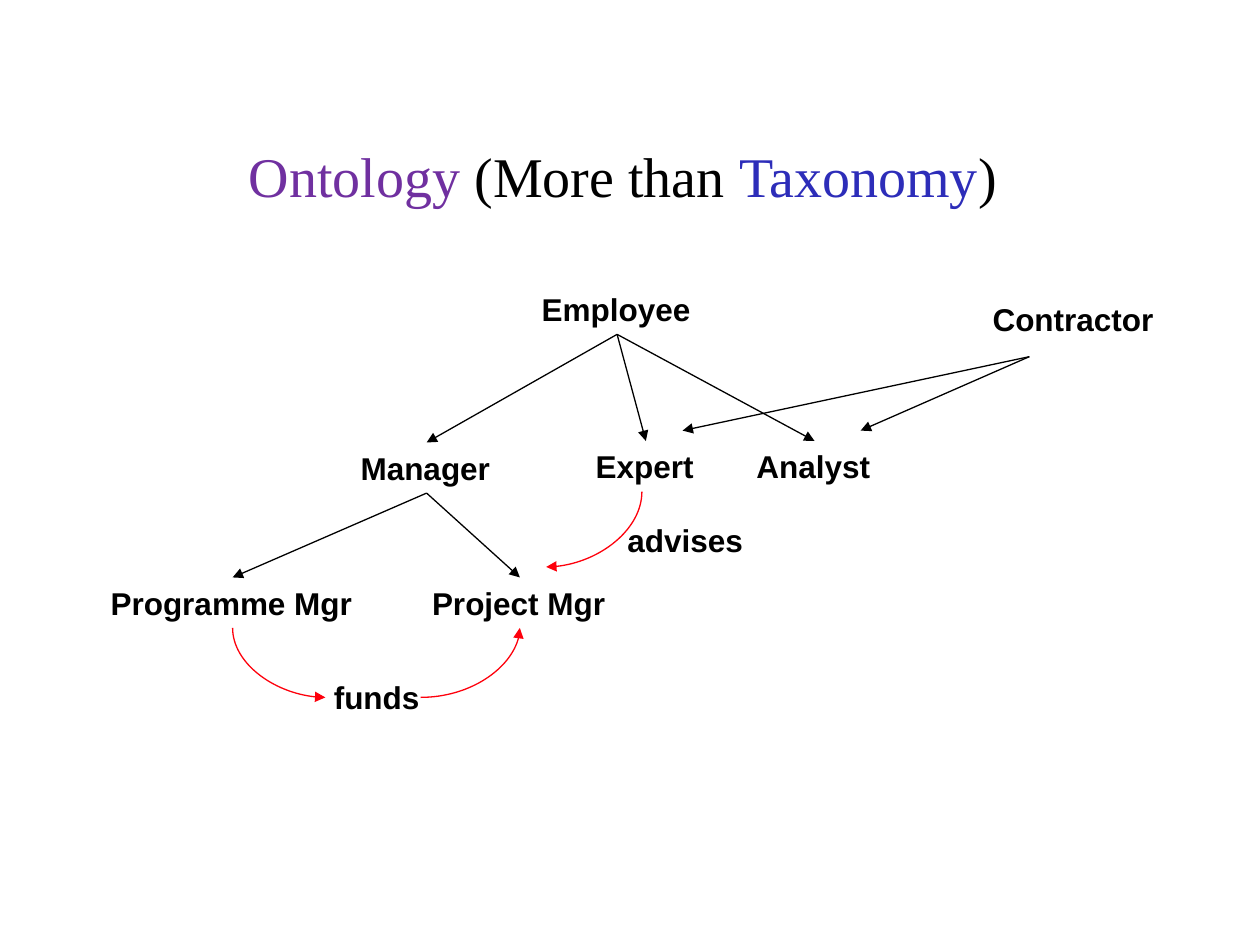
from lxml import etree
from pptx import Presentation
from pptx.dml.color import RGBColor
from pptx.enum.shapes import MSO_CONNECTOR
from pptx.enum.text import MSO_ANCHOR, MSO_AUTO_SIZE, PP_ALIGN
from pptx.oxml.ns import qn
from pptx.util import Cm, Pt

STRAIGHT, CURVE = MSO_CONNECTOR.STRAIGHT, MSO_CONNECTOR.CURVE
MIDDLE, CENTER = MSO_ANCHOR.MIDDLE, PP_ALIGN.CENTER
FIT_SHAPE = MSO_AUTO_SIZE.SHAPE_TO_FIT_TEXT
BLACK = RGBColor(0x00, 0x00, 0x00)
PURPLE = RGBColor(0x70, 0x30, 0xA0)
BLUE = RGBColor(0x2D, 0x2D, 0xB9)
RED = RGBColor(0xFE, 0x00, 0x0C)

TITLE = [("Ontology", PURPLE), (" (More than ", BLACK),
         ("Taxonomy", BLUE), (") ", BLACK)]
LABEL_H = 1.02
LABELS = {
    "Employee": (10.67, 5.72, 3.54),
    "Contractor": (19.76, 5.92, 3.8),
    "Manager": (7.02, 8.92, 3.16),
    "Expert": (11.76, 8.89, 2.52),
    "Analyst": (15.0, 8.89, 2.84),
    "Programme Mgr": (1.98, 11.64, 5.42),
    "Project Mgr": (8.46, 11.64, 4.04),
    "funds": (6.48, 13.54, 2.28),
    "advises": (12.4, 10.37, 2.88),
}
SUBCLASSES = {
    "Employee": ["Manager", "Expert", "Analyst"],
    "Manager": ["Programme Mgr", "Project Mgr"],
}
CONTRACTOR_START = (20.75, 7.19)
CONTRACTOR_ENDS = [(17.35, 8.68), (13.76, 8.68)]
FUNDS_IN, FUNDS_OUT = (6.56, 14.06), (8.48, 14.06)
ADVISES_START, ADVISES_END = (12.94, 9.91), (11.01, 11.43)


def top(name):
    x, y, w = LABELS[name]
    return x + w / 2, y


def bottom(name):
    x, y = top(name)
    return x, y + LABEL_H


def add_text(x, y, w, h, runs, font, size, bold=False):
    s = slide.shapes.add_textbox(Cm(x), Cm(y), Cm(w), Cm(h))
    tf = s.text_frame
    p = tf.paragraphs[0]
    p.font.name, p.font.size, p.font.bold = font, Pt(size), bold
    for text, color in runs:
        r = p.add_run()
        r.text = text
        r.font.color.rgb = color
    return tf


def add_arrow(start, end, color=BLACK, kind=STRAIGHT):
    s = slide.shapes.add_connector(kind, *map(Cm, start + end))
    s.line.color.rgb = color
    s.line.width = Pt(0.75)
    spPr = s._element.spPr
    etree.SubElement(spPr.find(qn("a:ln")), qn("a:tailEnd"), type="triangle")
    etree.SubElement(spPr, qn("a:effectLst"))
    return s


def add_curve(start, end, vertical_first=False):
    (x1, y1), (x2, y2) = start, end
    if vertical_first:
        cx, cy = (x1 + x2) / 2, (y1 + y2) / 2
        half_w, half_h = abs(y2 - y1) / 2, abs(x2 - x1) / 2
        start, end = (cx - half_w, cy - half_h), (cx + half_w, cy + half_h)
    s = add_arrow(start, end, RED, CURVE)
    spPr = s._element.spPr
    spPr.find(qn("a:prstGeom")).set("prst", "curvedConnector2")
    if vertical_first:
        xfrm = spPr.find(qn("a:xfrm"))
        rightward = x2 > x1
        xfrm.set("rot", str((270 if rightward else 90) * 60000))
        if rightward:
            xfrm.set("flipH", "1")


prs = Presentation()
prs.slide_width, prs.slide_height = Cm(25.4), Cm(19.05)
slide = prs.slides.add_slide(prs.slide_layouts[6])

tf = add_text(1.9, 1.94, 21.59, 3.18, TITLE, "Times New Roman", 32)
tf.word_wrap = True
tf.vertical_anchor = MIDDLE
tf.paragraphs[0].alignment = CENTER

for name, (x, y, w) in LABELS.items():
    tf = add_text(x, y, w, LABEL_H, [(name, BLACK)], "Arial", 18, True)
    tf.word_wrap = False
    tf.auto_size = FIT_SHAPE

for parent, children in SUBCLASSES.items():
    for child in children:
        add_arrow(bottom(parent), top(child))
for end in CONTRACTOR_ENDS:
    add_arrow(CONTRACTOR_START, end)

add_curve(bottom("Programme Mgr"), FUNDS_IN, vertical_first=True)
add_curve(FUNDS_OUT, bottom("Project Mgr"))
add_curve(ADVISES_START, ADVISES_END, vertical_first=True)

prs.save("out.pptx")
